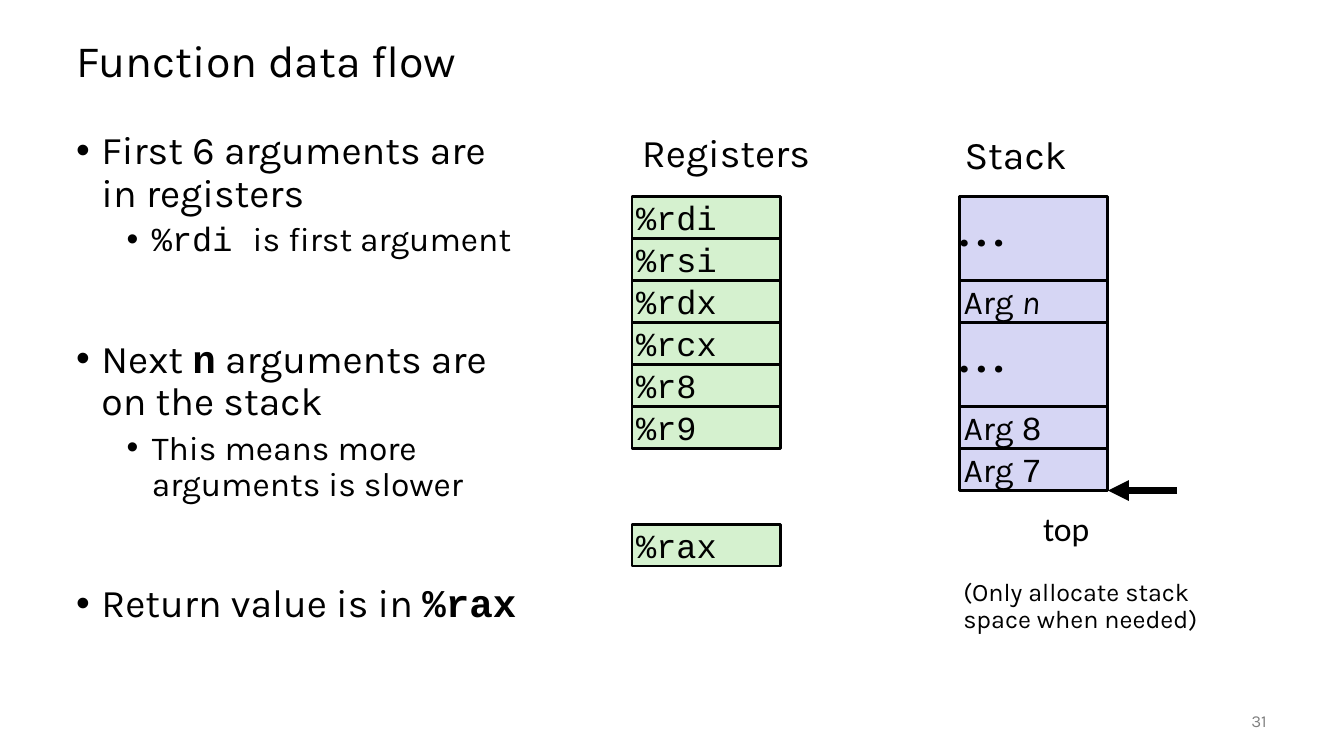
import dataclasses
import itertools
import typing

import pptx
import pptx.dml.color
import pptx.enum.shapes
import pptx.enum.text
import pptx.oxml.ns
import pptx.util
import lxml.etree

COLUMNS, ROWS = 32, 18
CELL = pptx.util.Inches(7.5) / ROWS
BLACK, GREY, GREEN, LILAC = "000000", "808080", "D5F1CF", "D6D6F4"
KARLA, COURIER = "Karla", "Courier New"
BOX_WIDTH, BOXES_TOP = 3.53, 4.68
REGISTERS_LEFT, STACK_LEFT, RETURN_TOP = 15.05, 22.85, 12.48
MIDDLE = pptx.enum.text.MSO_ANCHOR.MIDDLE
LEFT, RIGHT = pptx.enum.text.PP_ALIGN.LEFT, pptx.enum.text.PP_ALIGN.RIGHT


@dataclasses.dataclass
class Area:
    left: float
    top: float
    width: float
    height: float


@dataclasses.dataclass
class Span:
    text: str
    size: float = 24
    name: str = KARLA
    color: str = BLACK
    style: dict[str, bool] = dataclasses.field(default_factory=dict)


@dataclasses.dataclass
class Para:
    spans: list[Span]
    level: int = 0
    bullet: bool = False
    form: dict[str, typing.Any] = dataclasses.field(default_factory=dict)


@dataclasses.dataclass
class Label:
    area: Area
    paras: list[Para]
    frame: dict[str, typing.Any] = dataclasses.field(default_factory=dict)


@dataclasses.dataclass
class Slot:
    spans: list[Span]
    rows: int = 1
    inset: float = 0.04


def paint(color: str) -> pptx.dml.color.RGBColor:
    return pptx.dml.color.RGBColor.from_string(color)


def grid(cells: float) -> int:
    return round(cells * CELL)


def place(area: Area) -> list[int]:
    return [grid(cells) for cells in dataclasses.astuple(area)]


def assign(target: typing.Any, values: dict[str, typing.Any]) -> None:
    for key, value in values.items():
        setattr(target, key, value)


def add_bullet(para, level: int) -> None:
    properties = para._p.get_or_add_pPr()
    properties.set("marL", str(pptx.util.Inches(0.25 + 0.5 * level)))
    properties.set("indent", str(-pptx.util.Inches(0.25)))
    for tag, values in {"a:buFont": {"typeface": "Arial"}, "a:buChar": {"char": "•"}}.items():
        lxml.etree.SubElement(properties, pptx.oxml.ns.qn(tag), values)


def write(frame, paras: list[Para]) -> None:
    for index, content in enumerate(paras):
        para = frame.add_paragraph() if index else frame.paragraphs[0]
        if content.bullet:
            add_bullet(para, content.level)
        assign(para, {"level": content.level, "alignment": LEFT} | content.form)
        for part in content.spans:
            span = para.add_run()
            span.text = part.text
            span.font.color.rgb = paint(part.color)
            assign(span.font, {"name": part.name, "size": pptx.util.Pt(part.size)} | part.style)


def draw_label(page, label: Label) -> None:
    box = page.shapes.add_textbox(*place(label.area))
    assign(box.text_frame, {"word_wrap": True} | label.frame)
    write(box.text_frame, label.paras)


def draw_slots(page, left: float, top: float, color: str, slots: list[Slot]) -> None:
    offsets = itertools.accumulate((slot.rows for slot in slots), initial=0)
    for slot, offset in zip(slots, offsets):
        area = Area(left, top + offset, BOX_WIDTH, slot.rows)
        box = page.shapes.add_shape(pptx.enum.shapes.MSO_SHAPE.RECTANGLE, *place(area))
        box.shadow.inherit = False
        box.fill.solid()
        box.fill.fore_color.rgb = paint(color)
        box.line.color.rgb = paint(BLACK)
        box.line.width = pptx.util.Pt(2)
        margins = {f"margin_{side}": pptx.util.Inches(slot.inset)
                   for side in ("left", "top", "right", "bottom")}
        assign(box.text_frame, {"word_wrap": True, "vertical_anchor": MIDDLE} | margins)
        write(box.text_frame, [Para(slot.spans)])


def draw_arrow(page, start: float, end: float, row: float) -> None:
    arrow = page.shapes.add_connector(
        pptx.enum.shapes.MSO_CONNECTOR.STRAIGHT, grid(start), grid(row), grid(end), grid(row))
    arrow.line.color.rgb = paint(BLACK)
    arrow.line.width = pptx.util.Pt(5)
    lxml.etree.SubElement(arrow.line._get_or_add_ln(), pptx.oxml.ns.qn("a:tailEnd"),
                          {"type": "triangle"})
    lxml.etree.SubElement(arrow._element.spPr, pptx.oxml.ns.qn("a:effectLst"))


def point(spans: list[Span], level: int = 0, before: float = 0) -> Para:
    form = {"line_spacing": 0.9, "space_before": pptx.util.Pt(before)}
    return Para(spans, level, True, form)


def line(text: str, size: float) -> list[Para]:
    return [Para([Span(text, size)], form={"line_spacing": 0.9})]


def register(name: str) -> Slot:
    return Slot([Span(name, name=COURIER)])


def argument(number: int) -> Slot:
    return Slot([Span("Arg "), Span(str(number), name=COURIER)])


POINTS = [
    point([Span("First 6 arguments are in registers", 28)]),
    point([Span("%rdi ", name=COURIER), Span("is first argument")], 1, 5),
    point([Span("Next ", 28), Span("n", 28, COURIER, style={"bold": True}),
           Span(" arguments are on the stack", 28)], before=57.5),
    point([Span("This means more arguments is slower")], 1, 5),
    point([Span("Return value is in ", 28), Span("%rax", 28, COURIER, style={"bold": True})],
          before=57.5),
]
LABELS = [
    Label(Area(1.58, 0.6, 28.8, 1.8), line("Function data flow", 32), {"vertical_anchor": MIDDLE}),
    Label(Area(1.58, 3, 11.04, 13.2), POINTS),
    Label(Area(REGISTERS_LEFT, 3.07, 10.6, 1.68), line("Registers", 28)),
    Label(Area(22.73, 3.1, 4.2, 1.68), line("Stack", 28)),
    Label(Area(22.7, 13.68, 6.14, 2), line("(Only allocate stack space when needed)", 18)),
    Label(Area(24.6, 11.98, 1.58, 1.2), [Para([Span("top", name="Calibri")])],
          {"word_wrap": False}),
    Label(Area(28, 16.68, 2.4, 0.96),
          [Para([Span("31", 12, color=GREY)], form={"alignment": RIGHT})],
          {"vertical_anchor": MIDDLE}),
]
REGISTERS = [register(name) for name in ("%rdi", "%rsi", "%rdx", "%rcx", "%r8", "%r9")]
DOTS = Slot([Span("• • •")], rows=2, inset=0)
LAST = Slot([Span("Arg "), Span("n", style={"italic": True})])
STACK = [DOTS, LAST, DOTS, argument(8), argument(7)]


def main() -> None:
    deck = pptx.Presentation()
    assign(deck, {"slide_width": grid(COLUMNS), "slide_height": grid(ROWS)})
    page = deck.slides.add_slide(deck.slide_layouts[6])
    for label in LABELS:
        draw_label(page, label)
    draw_slots(page, REGISTERS_LEFT, BOXES_TOP, GREEN, REGISTERS)
    draw_slots(page, REGISTERS_LEFT, RETURN_TOP, GREEN, [register("%rax")])
    draw_slots(page, STACK_LEFT, BOXES_TOP, LILAC, STACK)
    stack_right = STACK_LEFT + BOX_WIDTH
    stack_end = BOXES_TOP + sum(slot.rows for slot in STACK)
    draw_arrow(page, stack_right + 1.65, stack_right, stack_end)
    deck.save("out.pptx")


if __name__ == "__main__":
    main()
